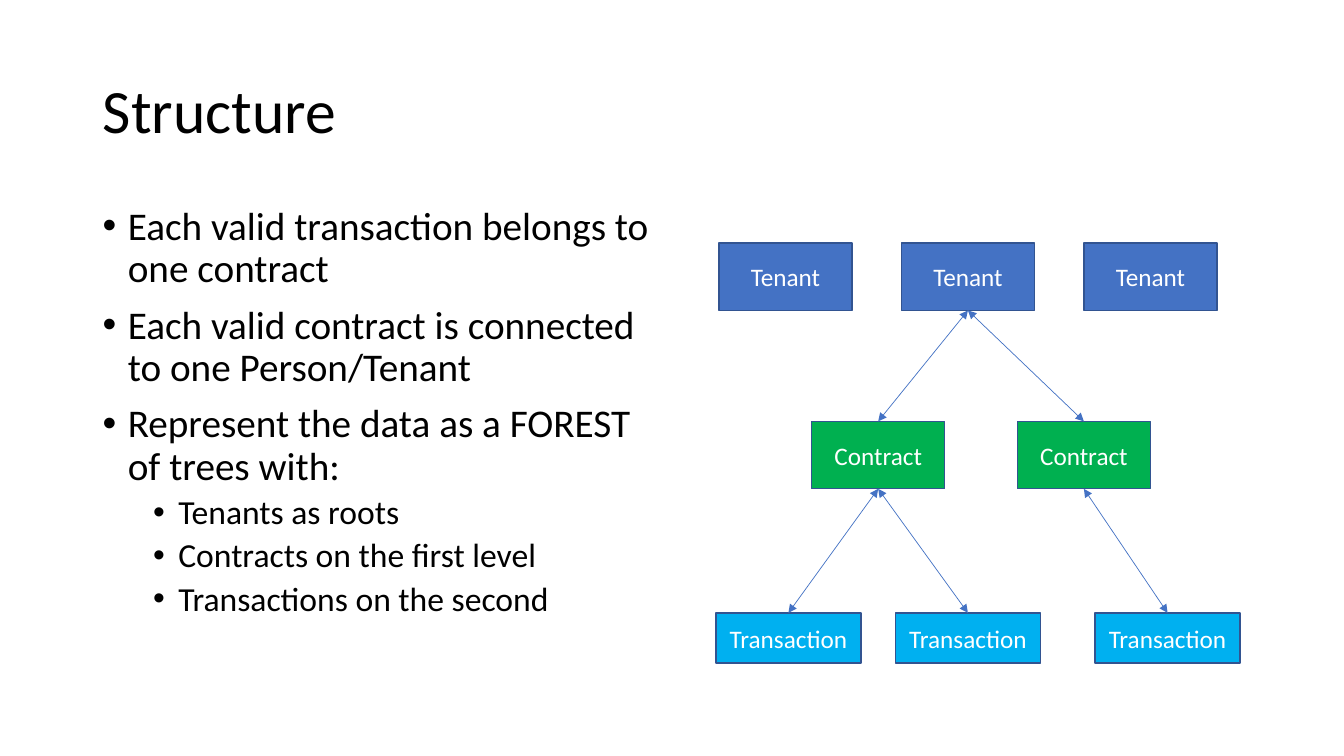
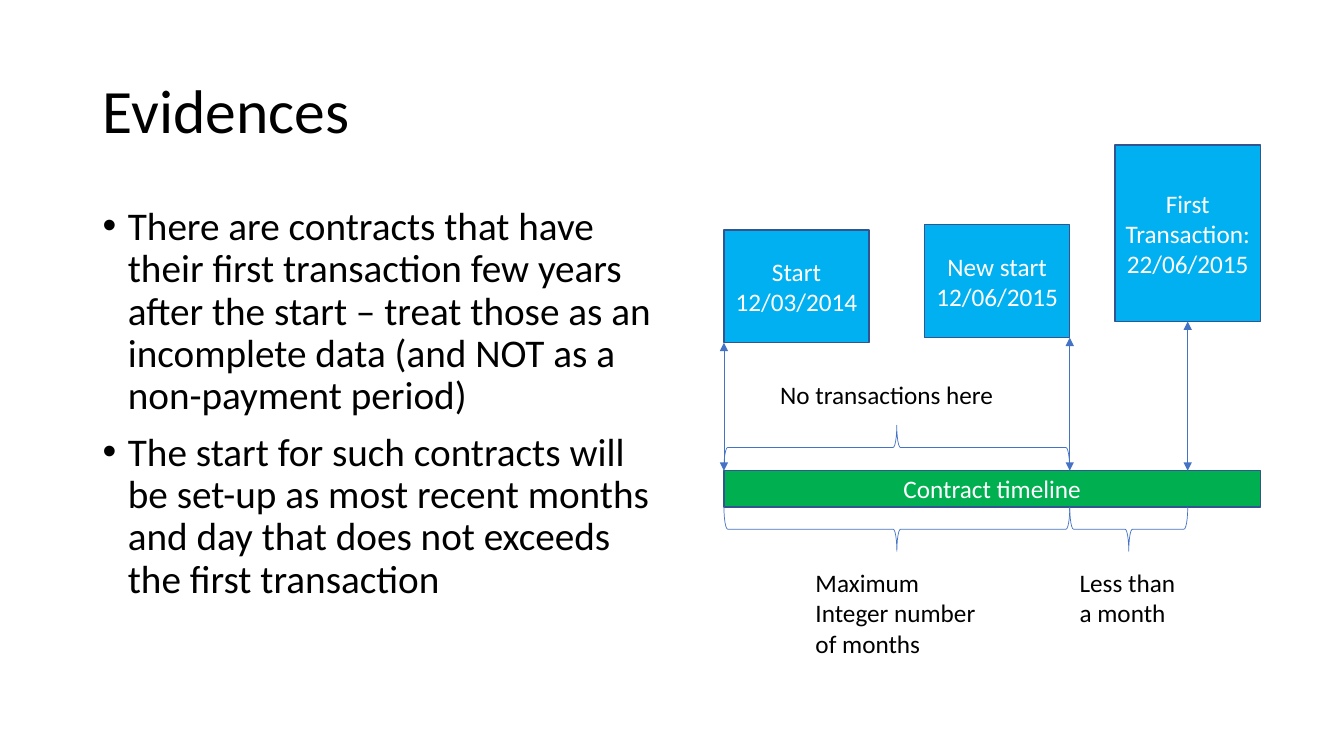
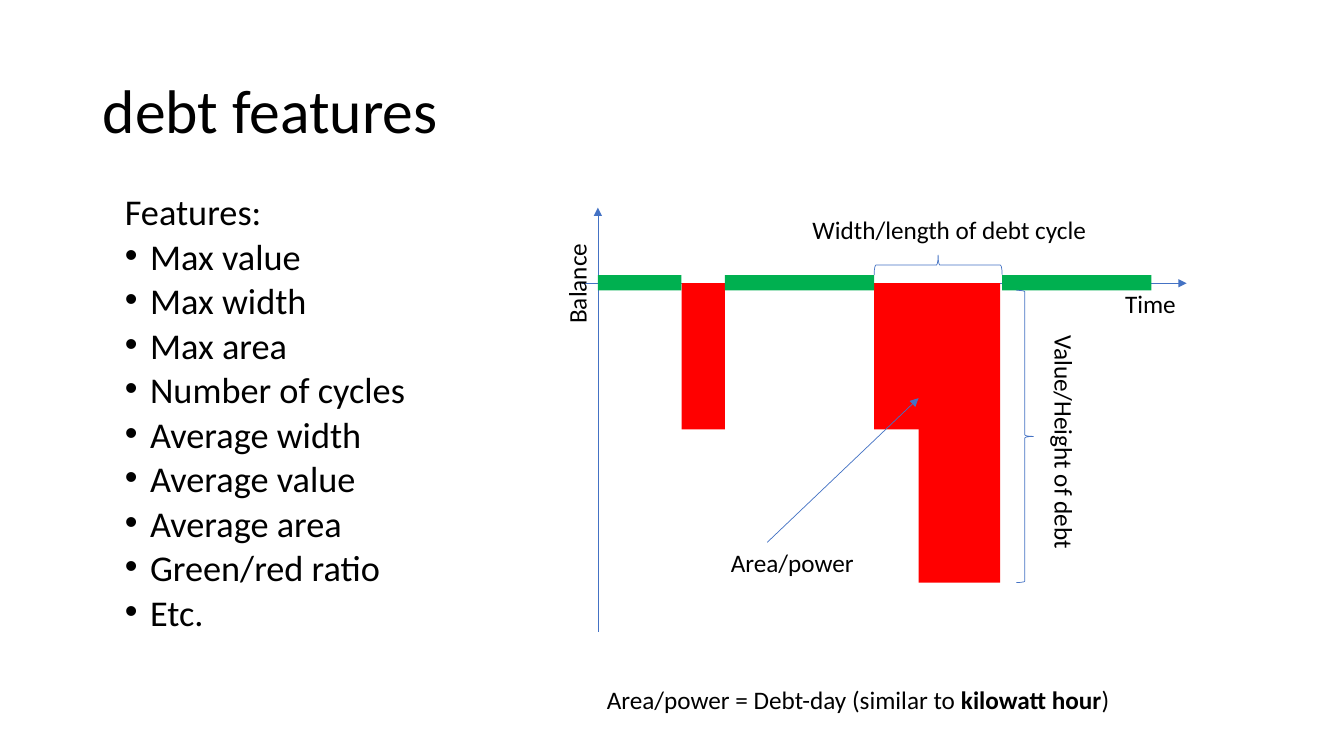
from collections import namedtuple
from dataclasses import dataclass
from lxml.etree import SubElement
from pptx import Presentation
from pptx.dml.color import RGBColor as Rgb
from pptx.enum.shapes import MSO_CONNECTOR as Link, MSO_SHAPE as Kind
from pptx.enum.text import MSO_ANCHOR as Anchor, MSO_AUTO_SIZE as Fit, PP_ALIGN as Align
from pptx.oxml import parse_xml
from pptx.oxml.ns import nsdecls, qn
from pptx.util import Inches, Pt


@dataclass(frozen=True)
class Theme:
    """Colours, font and type sizes of the deck."""
    font: str = "Calibri"
    ink: str = "000000"
    paper: str = "FFFFFF"
    blue: str = "4472C4"
    edge: str = "325491"
    green: str = "00B050"
    sky: str = "00B0F0"
    red: str = "FF0000"
    head: float = 44
    body: float = 28
    sub: float = 24
    dense: float = 25.9
    label: float = 18


T = Theme()
Box = namedtuple("Box", "x y w h")
TITLE = Box(0.92, 0.4, 11.5, 1.45)
TOP, BOTTOM = 0, 2  # connection sites of a rectangle


def lengths(box):
    """Turn a box into four lengths."""
    return [Inches(v) for v in box]


def part(area, x, y, w, h):
    """Give a box whose place is measured from the corner of an area."""
    return Box(area.x + x, area.y + y, w, h)


def turned(box):
    """Give the unrotated frame of a box seen after a quarter turn."""
    return Box(box.x + (box.w - box.h) / 2, box.y + (box.h - box.w) / 2, box.h, box.w)


def write(frame, text, size=T.label, color=T.ink, align=Align.LEFT):
    """Write the lines of a text in one style."""
    frame.text = text
    for para in frame.paragraphs:
        para.alignment = align
        font = para.font
        font.name, font.size = T.font, Pt(size)
        font.color.rgb = Rgb.from_string(color)


def stroke(line, color, width):
    """Colour and size a line."""
    line.color.rgb = Rgb.from_string(color)
    line.width = Pt(width)


def block(slide, box, color, text="", edge=None):
    """Add a filled rectangle, with centred text if given."""
    shape = slide.shapes.add_shape(Kind.RECTANGLE, *lengths(box))
    shape.shadow.inherit = False
    shape.fill.solid()
    shape.fill.fore_color.rgb = Rgb.from_string(color)
    if edge:
        stroke(shape.line, edge, 1)
    else:
        shape.line.fill.background()
    if text:
        shape.text_frame.vertical_anchor = Anchor.MIDDLE
        write(shape.text_frame, text, color=T.paper, align=Align.CENTER)
    return shape


def brace(slide, box, turn=0):
    """Add a right brace that covers the box after its turn."""
    shape = slide.shapes.add_shape(Kind.RIGHT_BRACE, *lengths(turned(box) if turn else box))
    shape.rotation = turn
    shape.shadow.inherit = False
    shape.fill.background()
    stroke(shape.line, T.blue, 0.5)


def label(slide, box, text, turn=0, wrap=False):
    """Add a text label that covers the box after its turn."""
    shape = slide.shapes.add_textbox(*lengths(turned(box) if turn else box))
    shape.rotation = turn
    frame = shape.text_frame
    frame.word_wrap, frame.auto_size = wrap, Fit.SHAPE_TO_FIT_TEXT
    write(frame, text)
    return frame


def arrow(slide, x1=0, y1=0, x2=0, y2=0, ends=("head", "tail")):
    """Add a thin line with arrowheads at the named ends."""
    line = slide.shapes.add_connector(Link.STRAIGHT, *lengths((x1, y1, x2, y2)))
    stroke(line.line, T.blue, 0.5)
    for end in ends:
        SubElement(line.line._ln, qn(f"a:{end}End"), type="triangle")
    SubElement(line._element.spPr, qn("a:effectLst"))
    return line


def join(slide, upper, lower):
    """Tie two blocks with a two-headed arrow."""
    line = arrow(slide)
    line.begin_connect(upper, BOTTOM)
    line.end_connect(lower, TOP)


def start(deck, title):
    """Add a slide with the shared title style."""
    slide = deck.slides.add_slide(deck.slide_layouts[5])
    shape = slide.shapes.title
    shape.left, shape.top, shape.width, shape.height = lengths(TITLE)
    frame = shape.text_frame
    frame.vertical_anchor, frame.auto_size = Anchor.MIDDLE, Fit.NONE
    write(frame, title, T.head)
    frame.paragraphs[0].line_spacing = 0.9
    return slide


def bullet(para, level):
    """Give a paragraph a hanging round bullet."""
    props = para._p.get_or_add_pPr()
    props.set("marL", str(Inches(0.25 + 0.5 * level)))
    props.set("indent", str(Inches(-0.25)))
    for tag in ('buChar char="\u2022"', 'buFont typeface="Arial"'):
        props.insert(0, parse_xml(f"<a:{tag} {nsdecls('a')}/>"))


def points(slide, box, lines, subs=(), lead="", size=T.body, pitch=0.9):
    """Add a list: an optional plain lead line, bullets, then sub-bullets."""
    frame = slide.shapes.add_textbox(*lengths(box)).text_frame
    frame.word_wrap = True
    heads = [lead] if lead else []
    write(frame, "\n".join([*heads, *lines, *subs]), size)
    paras = frame.paragraphs
    for i, para in enumerate(paras):
        level = int(i >= len(paras) - len(subs))
        if i >= len(heads):
            bullet(para, level)
        para.level = level
        para.line_spacing = pitch
        para.space_before = Pt(5 if level else 10)
        if level:
            para.font.size = Pt(T.sub)


def forest(slide, area):
    """Draw the tree of tenants, contracts and transactions."""
    def row(name, color, y, w, h, lefts):
        return [block(slide, part(area, x, y, w, h), color, name, T.edge) for x in lefts]

    roots = row("Tenant", T.blue, 0, 1.32, 0.67, [0.03 + 1.81 * i for i in range(3)])
    deals = row("Contract", T.green, 1.77, 1.32, 0.67, (0.95, 2.99))
    moves = row("Transaction", T.sky, 3.67, 1.44, 0.5, (0, 1.78, 3.76))
    for deal in deals:
        join(slide, roots[1], deal)
    for deal, move in zip((deals[0], deals[0], deals[1]), moves):
        join(slide, deal, move)


def timeline(slide, area):
    """Draw the contract timeline with its dates and spans."""
    bar = 3.23
    fresh, first = 3.43, 4.6  # new start and first transaction, along the bar
    block(slide, part(area, 0, bar, area.w, 0.36), T.green, "Contract timeline", T.edge)
    dates = (
        ("Start 12/03/2014", 0, 0.84, 1.12, 0),
        ("New start 12/06/2015", 1.99, 0.79, 1.12, fresh),
        ("First Transaction:\n22/06/2015", 3.88, 0, 1.75, first),
    )
    for text, x, y, h, mark in dates:
        block(slide, part(area, x, y, 1.44, h), T.sky, text, T.edge)
        arrow(slide, area.x + mark, area.y + bar, area.x + mark, area.y + y + h)
    brace(slide, part(area, 0, 2.78, fresh, 0.44), 270)
    brace(slide, part(area, 0, 3.59, fresh, 0.44), 90)
    brace(slide, part(area, fresh, 3.59, first - fresh, 0.44), 90)
    label(slide, part(area, 0.46, 2.27, 2.52, 0.4), "No transactions here", wrap=True)
    label(slide, part(area, 0.81, 4.14, 1.97, 1.01),
          "Maximum Integer number\nof months", wrap=True)
    label(slide, part(area, fresh, 4.14, 1.16, 0.71), "Less than\na month")


def balance(slide, area):
    """Draw the balance over time with its debt cycles."""
    zero, left = 0.75, 0.16  # where the axes cross
    arrow(slide, area.x + left, area.y + area.h, area.x + left, area.y, ends=["tail"])
    arrow(slide, area.x, area.y + zero, area.x + area.w, area.y + zero, ends=["tail"])
    for x, w, h in ((0.99, 0.43, 1.45), (2.9, 0.45, 1.45), (3.34, 0.81, 2.97)):
        block(slide, part(area, x, zero, w, h), T.red)
    for x, w in ((left, 0.83), (1.42, 1.48), (4.17, 1.48)):
        block(slide, part(area, x, zero - 0.08, w, 0.15), T.green)
    brace(slide, part(area, 2.9, 0.47, 1.27, 0.2), 270)
    brace(slide, part(area, 4.31, 0.82, 0.17, 2.9))
    arrow(slide, area.x + 1.84, area.y + 3.32, area.x + 3.34, area.y + 1.89, ends=["tail"])
    for text, x, y, w, h, turn in (
        ("Balance", -0.25, 0.25, 0.4, 1, 270),
        ("Time", 5.29, zero, 0.71, 0.4, 0),
        ("Width/length of debt cycle", 2.19, 0.02, 2.95, 0.4, 0),
        ("Value/Height of debt", 4.59, 1.17, 0.4, 2.4, 90),
        ("Area/power", 1.38, 3.32, 1.43, 0.4, 0),
    ):
        label(slide, part(area, x, y, w, h), text, turn)


def footnote(slide, box):
    """Add the note on the unit of debt area."""
    frame = label(slide, box, "Area/power = Debt-day (similar to ", wrap=True)
    for text, bold in (("kilowatt hour", True), (")", False)):
        run = frame.paragraphs[0].add_run()
        run.text, run.font.bold = text, bold


def structure(deck):
    """Build the slide on the data structure."""
    slide = start(deck, "Structure")
    points(slide, Box(0.92, 2, 5.67, 4.76), (
        "Each valid transaction belongs to one contract",
        "Each valid contract is connected to one Person/Tenant",
        "Represent the data as a FOREST of trees with:",
    ), subs=(
        "Tenants as roots",
        "Contracts on the first level",
        "Transactions on the second",
    ))
    forest(slide, Box(7.1, 2.41, 5.2, 4.17))


def evidence(deck):
    """Build the slide on late first transactions."""
    slide = start(deck, "Evidences")
    points(slide, Box(0.92, 2, 5.72, 4.76), (
        "There are contracts that have their first transaction few years after the start "
        "\u2013 treat those as an incomplete data (and NOT as a non-payment period)",
        "The start for such contracts will be set-up as most recent months and day "
        "that does not exceeds the first transaction",
    ))
    timeline(slide, Box(7.18, 1.44, 5.32, 5.15))


def features(deck):
    """Build the slide on debt features."""
    slide = start(deck, "debt features")
    points(slide, Box(1.14, 1.95, 3.59, 4.76), (
        "Max value", "Max width", "Max area", "Number of cycles", "Average width",
        "Average value", "Average area", "Green/red ratio", "Etc.",
    ), lead="Features:", size=T.dense, pitch=0.7)
    balance(slide, Box(5.77, 2.06, 6, 4.21))
    footnote(slide, Box(5.92, 6.74, 5.49, 0.4))


deck = Presentation()
deck.slide_width, deck.slide_height = Inches(13.33), Inches(7.5)
for build in (structure, evidence, features):
    build(deck)
deck.save("out.pptx")
